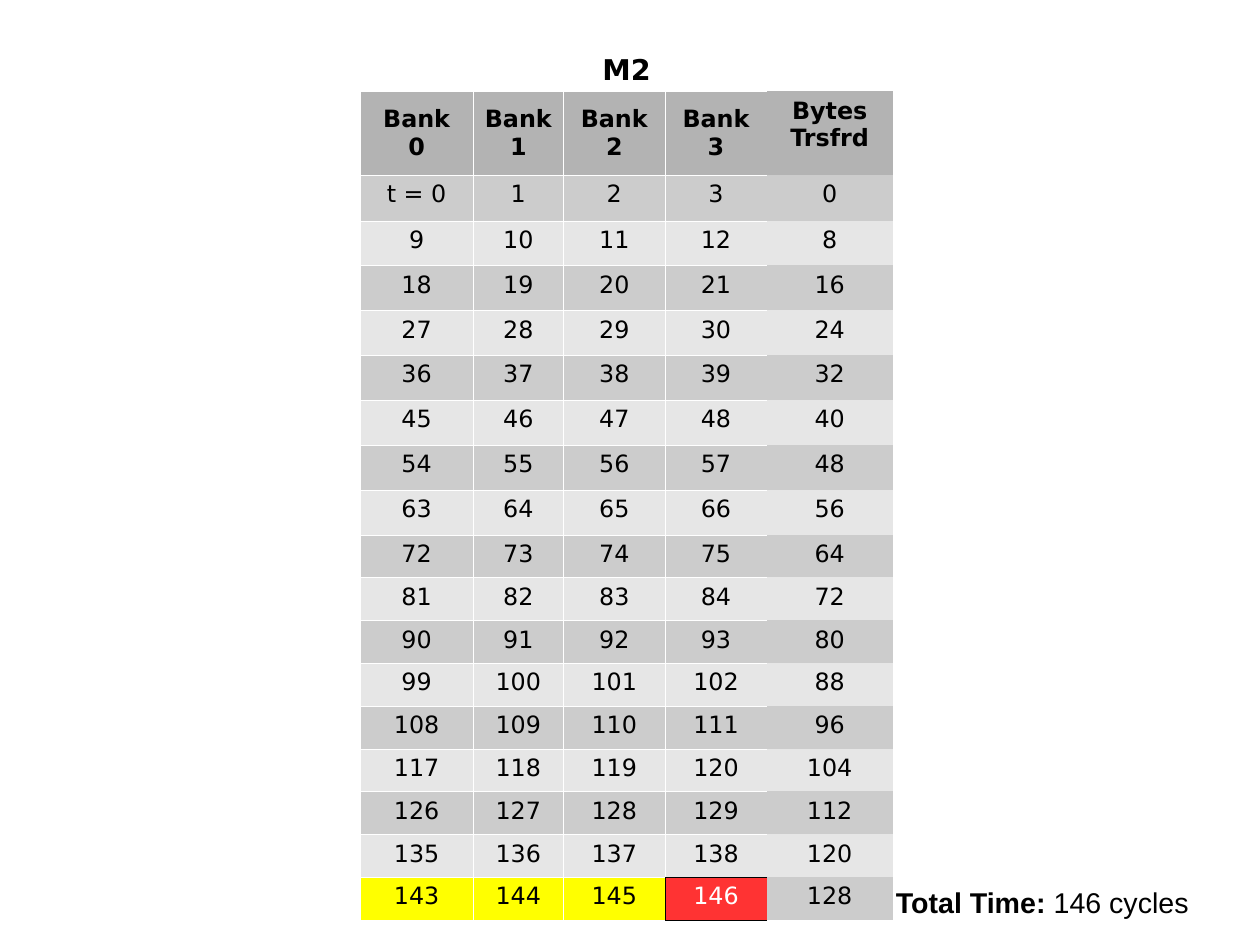
from lxml import etree
from pptx import Presentation, util as u
from pptx.dml.color import RGBColor
from pptx.enum import text
from pptx.oxml.ns import qn

BLACK, WHITE = "000000", "FFFFFF"
HEADER_GRAY, DARK_BAND, LIGHT_BAND = "B3B3B3", "CCCCCC", "E6E6E6"
YELLOW, RED = "FFFF00", "FF3333"
BANKS = 4
BYTES = BANKS  # index of the column after the banks
COLUMN_WIDTHS = [0.99, 0.79, 0.89, 0.89, 1.1]
ROW_HEIGHTS = [0.73, 0.4] + [2.75 / 7] * 7 + [3.37 / 9] * 9
LAST = len(ROW_HEIGHTS) - 1


def rgb(color):
    return RGBColor.from_string(color)


def style(font, name, size, bold, color=BLACK):
    font.name, font.size, font.bold = name, u.Pt(size), bold
    font.color.rgb = rgb(color)


def transfer_rows():
    """Each round takes 9 cycles and moves 8 bytes; the last one ends early."""
    header = ["Bank\v0", "Bank1", "Bank2", "Bank3", "Bytes\vTrsfrd"]
    rounds = [[9 * i + bank for bank in range(BANKS)] + [8 * i] for i in range(16)]
    rounds[0][0] = "t = 0"
    return [header, *rounds, [143, 144, 145, 146, 128]]


def cell_color(row, column):
    if row == 0:
        return HEADER_GRAY
    if row == LAST and column < BYTES:
        return RED if column == BANKS - 1 else YELLOW
    return DARK_BAND if row % 2 else LIGHT_BAND


def border_colors(row, column):
    """Colours of the left, right, top and bottom edges; None is no line."""
    if column == BYTES:
        return [None] * 4
    edges = [WHITE] * 4
    if column == BANKS - 1:
        edges[1] = None
        if row == LAST:
            edges = [BLACK, None, BLACK, BLACK]
        elif row == LAST - 1:
            edges[3] = BLACK
    elif (row, column) == (LAST, BANKS - 2):
        edges[1] = BLACK
    return edges


def draw_borders(cell, colors):
    properties = cell._tc.get_or_add_tcPr()
    for side, color in zip("LRTB", colors):
        line = etree.SubElement(properties, qn(f"a:ln{side}"), w=str(u.Pt(0.06)))
        if color:
            fill = etree.SubElement(line, qn("a:solidFill"))
            etree.SubElement(fill, qn("a:srgbClr"), val=color)
        else:
            etree.SubElement(line, qn("a:noFill"))


def fill_cell(cell, row, column, value):
    draw_borders(cell, border_colors(row, column))
    color = cell_color(row, column)
    cell.fill.solid()
    cell.fill.fore_color.rgb = rgb(color)
    middle = row == 0 and column < BYTES
    cell.vertical_anchor = text.MSO_ANCHOR.MIDDLE if middle else text.MSO_ANCHOR.TOP
    paragraph = cell.text_frame.paragraphs[0]
    paragraph.text = str(value)
    paragraph.alignment = text.PP_ALIGN.CENTER
    style(paragraph.font, "DejaVu Sans", 15, row == 0, WHITE if color == RED else BLACK)


def add_transfer_table(slide, left, top, width, height):
    rows = transfer_rows()
    table = slide.shapes.add_table(
        len(rows), len(rows[0]), *map(u.Inches, (left, top, width, height))).table
    table.horz_banding = False
    for column, column_width in zip(table.columns, COLUMN_WIDTHS):
        column.width = u.Inches(column_width)
    for row, row_height in zip(table.rows, ROW_HEIGHTS):
        row.height = u.Inches(row_height)
    for r, values in enumerate(rows):
        for c, value in enumerate(values):
            fill_cell(table.cell(r, c), r, c, value)


def fit_one_line(frame):
    frame.word_wrap = False
    frame.auto_size = text.MSO_AUTO_SIZE.SHAPE_TO_FIT_TEXT
    frame.vertical_anchor = text.MSO_ANCHOR.TOP


def set_title(slide, left, top, width, height):
    title = slide.shapes.title
    title.left, title.top, title.width, title.height = map(
        u.Inches, (left, top, width, height))
    fit_one_line(title.text_frame)
    paragraph = title.text_frame.paragraphs[0]
    paragraph.text = "M2"
    paragraph.alignment = text.PP_ALIGN.LEFT
    style(paragraph.font, "DejaVu Sans", 18, True)


def add_total_time(slide, left, top, width, height):
    total = slide.shapes.add_textbox(*map(u.Inches, (left, top, width, height)))
    fit_one_line(total.text_frame)
    paragraph = total.text_frame.paragraphs[0]
    for words, bold in (("Total Time: ", True), ("146 cycles", False)):
        run = paragraph.add_run()
        run.text = words
        style(run.font, "Arial", 18, bold)


def main():
    deck = Presentation()
    deck.slide_width, deck.slide_height = u.Cm(28), u.Cm(21)
    slide = deck.slides.add_slide(deck.slide_layouts.get_by_name("Title Only"))
    add_transfer_table(slide, 3.15, 0.8, 4.66, 7.26)
    set_title(slide, 5.17, 0.4, 0.65, 0.39)
    add_total_time(slide, 7.74, 7.69, 2.76, 0.38)
    deck.save("out.pptx")


if __name__ == "__main__":
    main()
